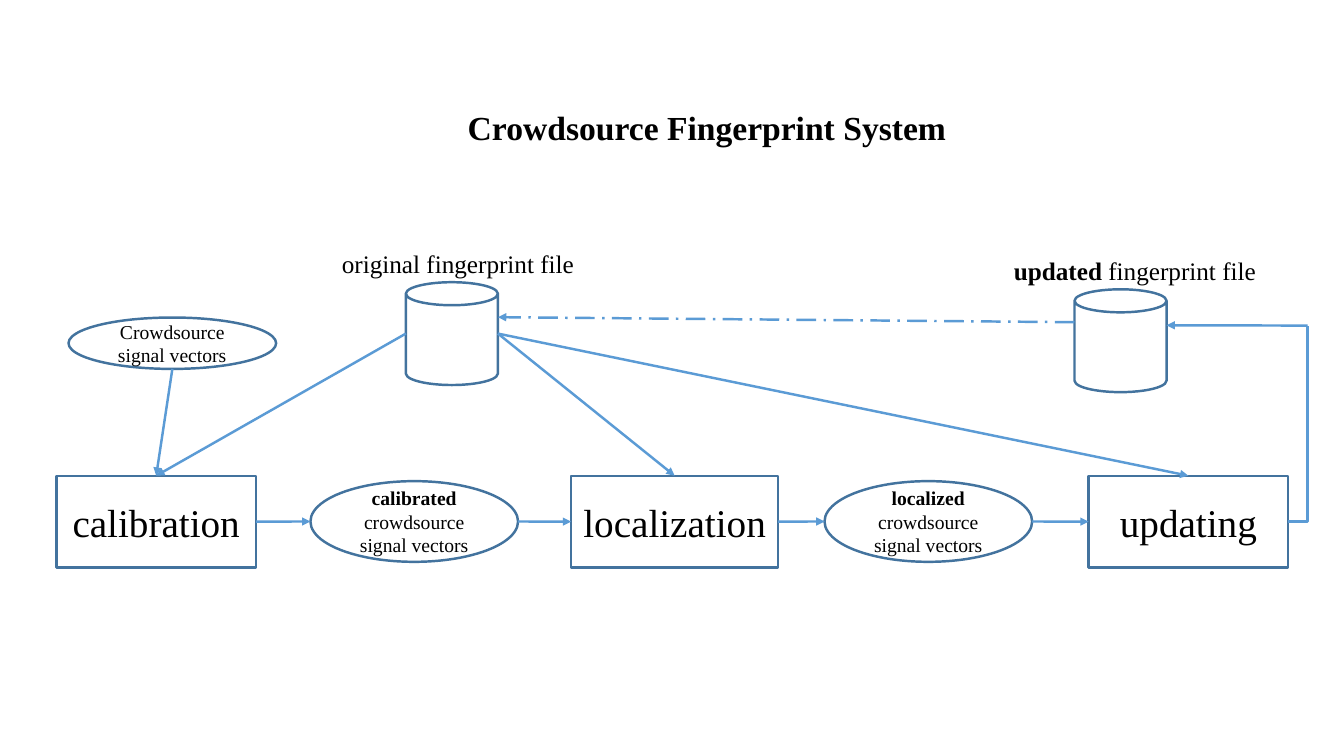
from dataclasses import dataclass

from lxml import etree
from pptx import Presentation
from pptx.dml.color import RGBColor
from pptx.enum.dml import MSO_LINE
from pptx.enum.shapes import MSO_CONNECTOR, MSO_SHAPE
from pptx.enum.text import MSO_ANCHOR, MSO_AUTO_SIZE, PP_ALIGN
from pptx.oxml.ns import qn
from pptx.util import Inches, Pt

RECTANGLE, ELLIPSE, CAN = MSO_SHAPE.RECTANGLE, MSO_SHAPE.OVAL, MSO_SHAPE.CAN
STRAIGHT, ELBOW = MSO_CONNECTOR.STRAIGHT, MSO_CONNECTOR.ELBOW
TOP, MIDDLE = MSO_ANCHOR.TOP, MSO_ANCHOR.MIDDLE
LEFT, CENTER = PP_ALIGN.LEFT, PP_ALIGN.CENTER
DASH_DOT = MSO_LINE.LONG_DASH_DOT
NO_RESIZE = MSO_AUTO_SIZE.NONE

FONT = "Times New Roman"
INK, OUTLINE, ARROW = "000000", "43739E", "5B9BD5"
LINE_WIDTH = Pt(1.75)
TITLE_ONLY = 5

Point = tuple[float, float]
Span = tuple[str, bool]  # wording, bold


@dataclass(frozen=True)
class Area:
    """A rectangle in percent of the slide's width and height."""
    left: float
    top: float
    width: float
    height: float

    def at(self, across: float, down: float) -> Point:
        return self.left + self.width * across, self.top + self.height * down

    @property
    def left_side(self) -> Point:
        return self.at(0, 0.5)

    @property
    def right_side(self) -> Point:
        return self.at(1, 0.5)

    @property
    def top_side(self) -> Point:
        return self.at(0.5, 0)

    @property
    def bottom_side(self) -> Point:
        return self.at(0.5, 1)


@dataclass(frozen=True)
class Node:
    kind: int
    area: Area
    paragraphs: tuple[tuple[Span, ...], ...] = ()
    size: int = 14


@dataclass(frozen=True)
class Link:
    start: Point
    end: Point
    kind: int = STRAIGHT
    head: bool = True
    dash: int | None = None


deck = Presentation()
deck.slide_width, deck.slide_height = Inches(13.333), Inches(7.5)
page = deck.slides.add_slide(deck.slide_layouts[TITLE_ONLY])


def color(value: str) -> RGBColor:
    return RGBColor.from_string(value)


def across(share: float) -> int:
    return round(deck.slide_width * share / 100)


def down(share: float) -> int:
    return round(deck.slide_height * share / 100)


def bounds(area: Area) -> tuple[int, int, int, int]:
    return across(area.left), down(area.top), across(area.width), down(area.height)


def write(frame, paragraphs, *, size: int, align=CENTER, anchor=MIDDLE, wrap=True) -> None:
    frame.word_wrap, frame.vertical_anchor, frame.auto_size = wrap, anchor, NO_RESIZE
    for index, spans in enumerate(paragraphs):
        para = frame.paragraphs[0] if index == 0 else frame.add_paragraph()
        para.alignment = align
        for wording, bold in spans:
            span = para.add_run()
            span.text = wording
            span.font.name, span.font.size, span.font.bold = FONT, Pt(size), bold
            span.font.color.rgb = color(INK)


def draw_node(node: Node) -> None:
    shape = page.shapes.add_shape(node.kind, *bounds(node.area))
    shape.shadow.inherit = False
    shape.fill.background()
    shape.line.color.rgb = color(OUTLINE)
    shape.line.width = LINE_WIDTH
    write(shape.text_frame, node.paragraphs, size=node.size)


def draw_label(area: Area, *spans: Span) -> None:
    box = page.shapes.add_textbox(*bounds(area))
    write(box.text_frame, [spans], size=18, align=LEFT, anchor=TOP, wrap=False)


def draw_link(link: Link) -> None:
    (x1, y1), (x2, y2) = link.start, link.end
    connector = page.shapes.add_connector(link.kind, across(x1), down(y1), across(x2), down(y2))
    connector.line.color.rgb = color(ARROW)
    connector.line.width = LINE_WIDTH
    if link.dash is not None:
        connector.line.dash_style = link.dash
    properties = connector._element.spPr
    if link.head:
        etree.SubElement(properties.find(qn("a:ln")), qn("a:tailEnd"), type="triangle")
    if link.kind == ELBOW:  # turn only at the far end
        guides = properties.find(qn("a:prstGeom")).find(qn("a:avLst"))
        etree.SubElement(guides, qn("a:gd"), name="adj1", fmla="val 100000")
    etree.SubElement(properties, qn("a:effectLst"))


def step(name: str, left: float, width: float) -> Node:
    return Node(RECTANGLE, Area(left, 62.93, width, 12.13), (((name, False),),), 28)


def vectors(state: str, left: float) -> Node:
    lines = ((state, True),), (("crowdsource signal vectors", False),)
    return Node(ELLIPSE, Area(left, 63.65, 15.45, 10.67), lines)


def fingerprint_file(left: float, top: float) -> Node:
    return Node(CAN, Area(left, top, 6.85, 13.6))


# Title
title = page.shapes.title
title.left, title.top, title.width, title.height = bounds(Area(34.05, 13.47, 37.43, 6.67))
write(title.text_frame, [[("Crowdsource Fingerprint System", True)]],
      size=24, align=LEFT, anchor=TOP, wrap=False)

# Processing row, source vectors and the two files
calibration = step("calibration", 4.2, 14.85)
calibrated = vectors("calibrated", 23.1)
localization = step("localization", 42.5, 15.4)
localized = vectors("localized", 61.35)
updating = step("updating", 81, 14.85)
source = Node(ELLIPSE, Area(5.1, 42, 15.45, 6.8), ((("Crowdsource signal vectors", False),),))
original = fingerprint_file(30.2, 37.33)
updated = fingerprint_file(79.95, 38.27)

row = [calibration, calibrated, localization, localized, updating]
for node in [*row, source, original, updated]:
    draw_node(node)

draw_label(Area(24.7, 32.13, 18.97, 5.33), ("original fingerprint file", False))
draw_label(Area(74.7, 33.07, 19.72, 5.33), ("updated", True), (" fingerprint file", False))

# Arrows along the row, from the sources, and back to the files
corner = (97.3, 43.07)
links = [Link(a.area.right_side, b.area.left_side) for a, b in zip(row, row[1:])]
links += [
    Link(source.area.bottom_side, calibration.area.top_side),
    Link(original.area.left_side, calibration.area.top_side),
    Link(original.area.right_side, localization.area.top_side),
    Link(original.area.right_side, updating.area.top_side),
    Link(updating.area.right_side, corner, ELBOW, head=False),
    Link(corner, updated.area.at(1, 0.35)),
    Link(updated.area.at(0, 0.32), original.area.at(1, 0.34), dash=DASH_DOT),
]
for link in links:
    draw_link(link)

deck.save("out.pptx")
